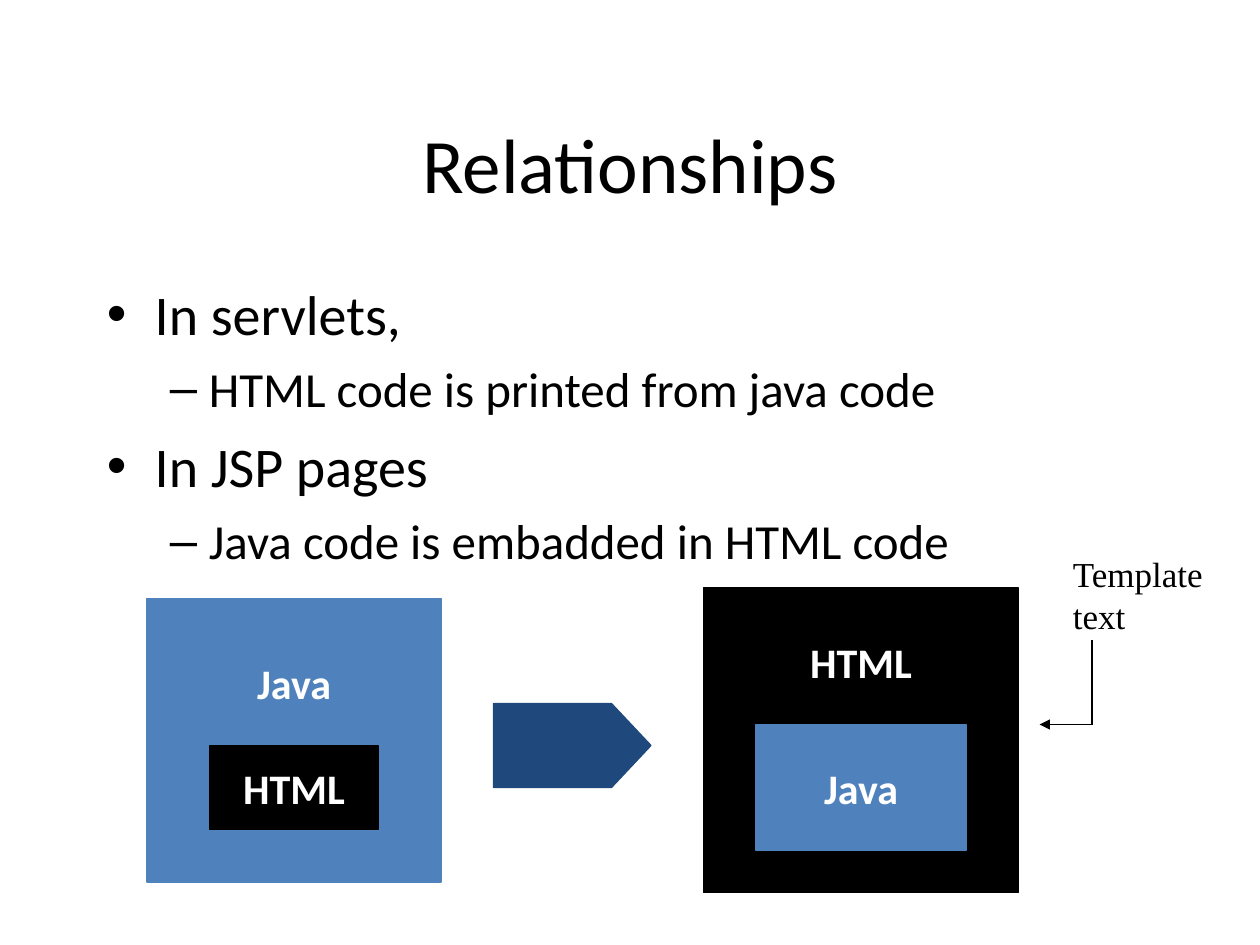
from lxml.etree import SubElement
from pptx import Presentation
from pptx.dml.color import RGBColor
from pptx.enum.shapes import MSO_CONNECTOR as Connector, MSO_SHAPE as Shape
from pptx.enum.text import MSO_ANCHOR as Anchor, PP_ALIGN as Align
from pptx.oxml.ns import qn
from pptx.util import Inches, Pt

COLORS = {"java": "4F81BD", "html": "000000", "arrow": "1F497D",
          "ink": "000000", "label": "FFFFFF"}
CELL = Inches(1) / 12  # the grid has 120 columns and 90 rows
LEVELS = [  # bullet, text size, space before, left indent, hanging indent
    ("•", 32, 8, 0.38, 0.38),
    ("–", 28, 7, 0.81, 0.31),
]


def color(name):
    return RGBColor.from_string(COLORS[name])


def grid(*cells):
    return [round(cell * CELL) for cell in cells]


class Board:
    """Holds the style and the current slide; places are in grid cells."""
    font = "Calibri"
    line_width = Pt(0.75)

    def __init__(self, deck):
        self.page = deck.slides.add_slide(deck.slide_layouts[5])
        self.shapes = self.page.shapes

    def add_span(self, para, text, size, ink="ink", **formats):
        span = para.add_run()
        span.text = text
        span.font.color.rgb = color(ink)
        for name, value in {"name": self.font, "size": Pt(size), **formats}.items():
            setattr(span.font, name, value)

    def title(self, text, place):
        box = self.shapes.title
        box.left, box.top, box.width, box.height = grid(*place)
        box.text_frame.vertical_anchor = Anchor.MIDDLE
        para = box.text_frame.paragraphs[0]
        para.alignment = Align.CENTER
        self.add_span(para, text, 44)

    def text_box(self, place):
        frame = self.shapes.add_textbox(*grid(*place)).text_frame
        frame.word_wrap = True
        return frame

    def bullets(self, items, place):
        frame = self.text_box(place)
        for index, (level, text) in enumerate(items):
            bullet, size, before, left, hanging = LEVELS[level]
            para = frame.add_paragraph() if index else frame.paragraphs[0]
            para.level = level
            para.space_before = Pt(before)
            props = para._p.get_or_add_pPr()
            props.set("marL", str(Inches(left)))
            props.set("indent", str(-Inches(hanging)))
            SubElement(props, qn("a:buFont"), typeface="Arial")
            SubElement(props, qn("a:buChar"), char=bullet)
            self.add_span(para, text, size)

    def note(self, text, place):
        para = self.text_box(place).paragraphs[0]
        para.space_before = Pt(12.5)
        self.add_span(para, text, 20, name="Times New Roman")

    def block(self, fill, place, text="", kind=Shape.RECTANGLE):
        block = self.shapes.add_shape(kind, *grid(*place))
        block.shadow.inherit = False
        block.fill.solid()
        block.fill.fore_color.rgb = color(fill)
        block.line.color.rgb = color(fill)
        block.line.width = self.line_width
        if text:
            frame = block.text_frame
            frame.word_wrap = False
            frame.vertical_anchor = Anchor.MIDDLE
            frame.paragraphs[0].alignment = Align.CENTER
            self.add_span(frame.paragraphs[0], text, 24, "label", bold=True)
        return block

    def line(self, start, end, arrow=False):
        line = self.shapes.add_connector(Connector.STRAIGHT, *grid(*start, *end))
        line.line.color.rgb = color("ink")
        line.line.width = self.line_width
        if arrow:
            SubElement(line.line._get_or_add_ln(), qn("a:tailEnd"), type="triangle")
        SubElement(line._element.spPr, qn("a:effectLst"))


def main():
    deck = Presentation()
    deck.slide_width, deck.slide_height = Inches(10), Inches(7.5)
    board = Board(deck)
    board.title("Relationships", (9, 8, 102, 15))
    board.bullets([
        (0, "In servlets,"),
        (1, "HTML code is printed from java code"),
        (0, "In JSP pages"),
        (1, "Java code is embadded in HTML code"),
    ], (9, 26, 102, 54))

    for fill, place, text in [
        ("java", (14, 57, 28, 27), ""),
        ("html", (67, 56, 30, 29), ""),
        ("java", (72, 69, 20, 12), "Java"),
        ("html", (74, 60, 16, 6), "HTML"),
        ("java", (18, 59, 20, 12), "Java"),
        ("html", (20, 71, 16, 8), "HTML"),
    ]:
        board.block(fill, place, text)
    arrow = board.block("arrow", (47, 67, 15, 8), kind=Shape.PENTAGON)
    arrow.adjustments[0] = 0.47

    board.note("Template text", (101, 52, 16, 9.25))
    corner = (104, 69)
    board.line(corner, (99, 69), arrow=True)
    board.line((104, 61), corner)
    deck.save("out.pptx")


if __name__ == "__main__":
    main()
